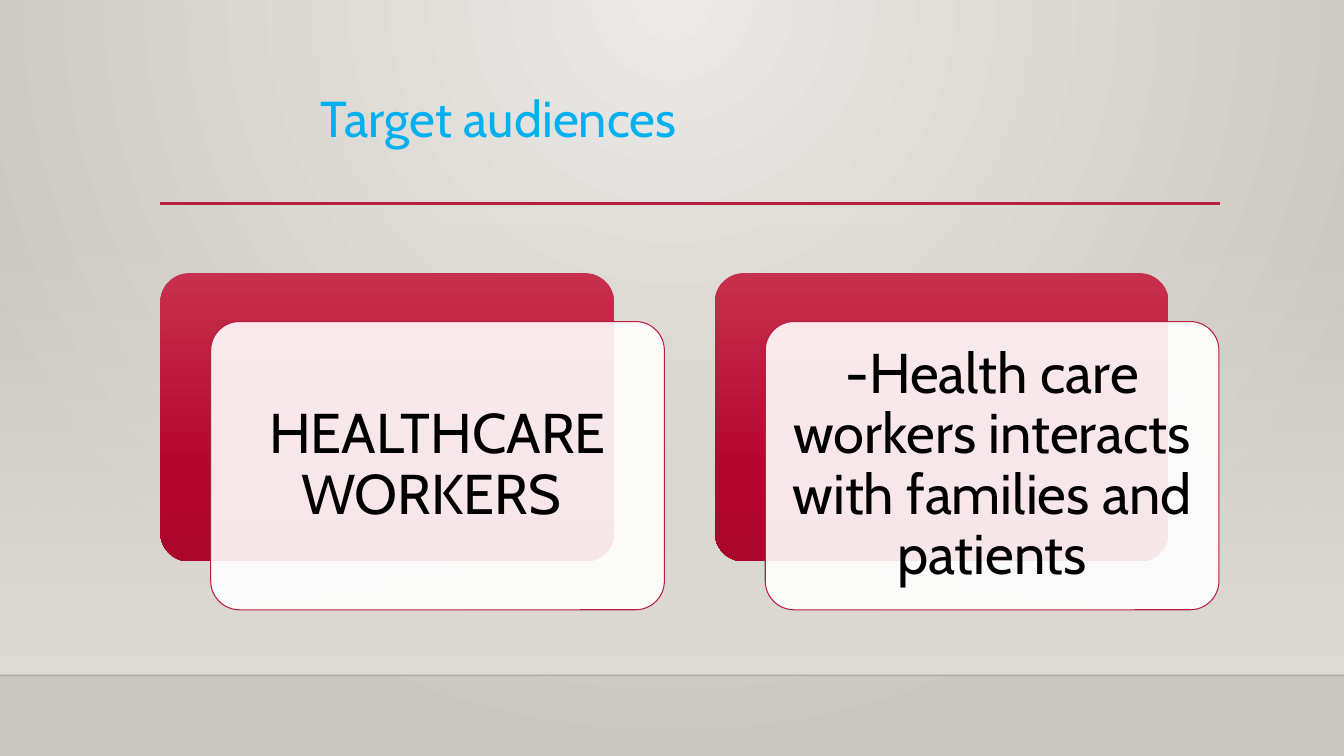
"""Build the target audiences slide: a title over two layered cards."""
from dataclasses import dataclass

from pptx import Presentation
from pptx.dml.color import RGBColor
from pptx.enum.shapes import MSO_CONNECTOR, MSO_SHAPE
from pptx.enum.text import MSO_ANCHOR, PP_ALIGN
from pptx.oxml import parse_xml
from pptx.oxml.ns import nsdecls, qn
from pptx.util import Inches, Pt

RECT, ROUND = MSO_SHAPE.RECTANGLE, MSO_SHAPE.ROUNDED_RECTANGLE
STRAIGHT = MSO_CONNECTOR.STRAIGHT
TOP, MIDDLE = MSO_ANCHOR.TOP, MSO_ANCHOR.MIDDLE
LEFT, CENTER = PP_ALIGN.LEFT, PP_ALIGN.CENTER

TITLE = "Target audiences"
CARDS = [
    "HEALTHCARE WORKERS ",
    "-Health care workers interacts with families and patients",
]


@dataclass(frozen=True)
class Theme:
    font: str = "Cabin"
    title_size: int = 36
    card_size: int = 40
    title: str = "00B0F0"
    text: str = "000000"
    accent: str = "B71E42"
    card: str = "FFFFFF"
    floor_line: str = "000001"
    backdrop: tuple = ((0, "ECEAE7", 100), (100, "CAC7C1", 100))
    wall: tuple = ((0, "DFDBD5", 0), (100, "DFDBD5", 100))
    panel: tuple = ((0, "C7304C", 100), (69, "B3062F", 100), (100, "AA062C", 100))


THEME = Theme()
WIDTH, HEIGHT = 13.33, 7.5
MARGIN, RIGHT = 1.59, 12.1
RULE_Y, WALL_TOP, FLOOR_Y = 2.02, 2.21, 6.7
CARD_W, CARD_H, CARDS_TOP = 4.5, 2.86, 2.71
SHIFT_X, SHIFT_Y = 0.5, 0.48
PITCH = CARD_W + 2 * SHIFT_X
DOWNWARD = '<a:lin ang="5400000" scaled="0"/>'
FROM_TOP = ('<a:path path="circle"><a:fillToRect l="43000" t="0" '
            'r="43000" b="100000"/></a:path>')


def set_gradient(parent, stops, direction):
    gs = "".join(
        f'<a:gs pos="{pos * 1000}"><a:srgbClr val="{color}">'
        f'<a:alpha val="{alpha * 1000}"/></a:srgbClr></a:gs>'
        for pos, color, alpha in stops)
    grad = parse_xml(f'<a:gradFill {nsdecls("a")} rotWithShape="1">'
                     f'<a:gsLst>{gs}</a:gsLst>{direction}</a:gradFill>')
    solid = parent.find(qn("a:solidFill"))
    parent.replace(solid, grad)


def set_alpha(parent, percent):
    color = parent.find(f'{qn("a:solidFill")}/{qn("a:srgbClr")}')
    color.append(parse_xml(f'<a:alpha {nsdecls("a")} val="{percent * 1000}"/>'))


def add_block(s, kind, x, y, w, h, color):
    sp = s.shapes.add_shape(kind, Inches(x), Inches(y), Inches(w), Inches(h))
    sp.shadow.inherit = False
    sp.fill.solid()
    sp.fill.fore_color.rgb = RGBColor.from_string(color)
    sp.line.fill.background()
    if kind == ROUND:
        sp.adjustments[0] = 0.1
    return sp


def add_rule(s, x1, x2, y, color, width):
    line = s.shapes.add_connector(STRAIGHT, Inches(x1), Inches(y), Inches(x2), Inches(y))
    line.line.color.rgb = RGBColor.from_string(color)
    line.line.width = Pt(width)
    props = line._element.spPr
    props.append(parse_xml(f'<a:effectLst {nsdecls("a")}/>'))
    return props.find(qn("a:ln"))


def write(sp, text, size, color, align, anchor, insets):
    tf = sp.text_frame
    tf.word_wrap = True
    tf.vertical_anchor = anchor
    tf.margin_left, tf.margin_top, tf.margin_right, tf.margin_bottom = map(Inches, insets)
    p = tf.paragraphs[0]
    p.alignment = align
    p.line_spacing = 0.9
    r = p.add_run()
    r.text = text
    r.font.name = THEME.font
    r.font.size = Pt(size)
    r.font.color.rgb = RGBColor.from_string(color)


def add_card(s, column, text):
    x = MARGIN + column * PITCH
    panel = add_block(s, ROUND, x, CARDS_TOP, CARD_W, CARD_H, THEME.accent)
    set_gradient(panel._element.spPr, THEME.panel, DOWNWARD)
    card = add_block(s, ROUND, x + SHIFT_X, CARDS_TOP + SHIFT_Y, CARD_W, CARD_H, THEME.card)
    set_alpha(card._element.spPr, 90)
    card.line.color.rgb = RGBColor.from_string(THEME.accent)
    card.line.width = Pt(0.75)
    write(card, text, THEME.card_size, THEME.text, CENTER, MIDDLE, [0.17] * 4)


def main():
    prs = Presentation()
    prs.slide_width, prs.slide_height = Inches(WIDTH), Inches(HEIGHT)
    s = prs.slides.add_slide(prs.slide_layouts[6])
    s.background.fill.solid()
    s.background.fill.fore_color.rgb = RGBColor.from_string(THEME.card)
    set_gradient(s.element.find(f'.//{qn("p:bgPr")}'), THEME.backdrop, FROM_TOP)

    wall = add_block(s, RECT, 0, WALL_TOP, WIDTH, FLOOR_Y - WALL_TOP, THEME.card)
    set_gradient(wall._element.spPr, THEME.wall, DOWNWARD)
    set_alpha(add_rule(s, 0, WIDTH, FLOOR_Y, THEME.floor_line, 1), 20)
    add_rule(s, MARGIN, RIGHT, RULE_Y, THEME.accent, 2.5)

    title = s.shapes.add_textbox(Inches(MARGIN), Inches(0.88), Inches(10.5), Inches(1.15))
    write(title, TITLE, THEME.title_size, THEME.title, LEFT, TOP, [1.59, 0.05, 0.1, 0])
    for column, text in enumerate(CARDS):
        add_card(s, column, text)
    prs.save("out.pptx")


if __name__ == "__main__":
    main()
